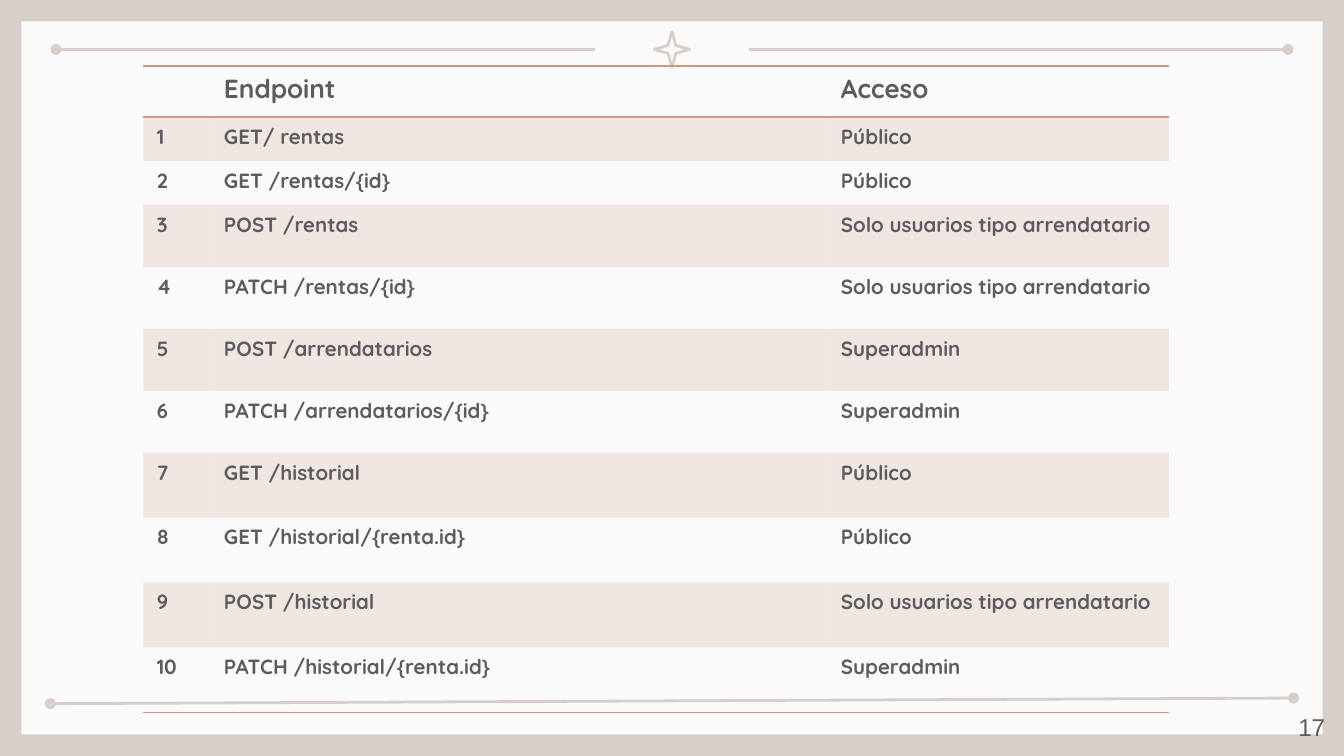
from dataclasses import dataclass
from lxml import etree
from pptx import Presentation
from pptx.dml.color import RGBColor
from pptx.enum.shapes import MSO_CONNECTOR, MSO_SHAPE
from pptx.enum.text import MSO_ANCHOR, PP_ALIGN
from pptx.oxml.ns import qn
from pptx.util import Pt

LINE = MSO_CONNECTOR.STRAIGHT
RECT = MSO_SHAPE.RECTANGLE
STAR = MSO_SHAPE.STAR_4_POINT
MIDDLE = MSO_ANCHOR.MIDDLE
TOP = MSO_ANCHOR.TOP
RIGHT = PP_ALIGN.RIGHT
PLAIN = "{2D5ABB26-0587-4C30-8999-92F81FD0307C}"


@dataclass(frozen=True)
class Theme:
    back: str = "D8CEC9"
    page: str = "FAFAFA"
    ink: str = "5C5C5F"
    rule: str = "C99A7D"
    tint: int = 20
    font: str = "Quicksand"
    plain: str = "Arial"
    head: int = 14
    body: int = 11
    number: int = 13


THEME = Theme()
COLS = [36, 330.5, 182.9]
ROWS = [27.3] + [23.6] * 2 + [33.2] * 4 + [34.8] * 4
PUBLIC = "Público"
TENANT = "Solo usuarios tipo arrendatario"
ADMIN = "Superadmin"
ROUTES = [
    ("GET/ rentas", PUBLIC),
    ("GET /rentas/{id}", PUBLIC),
    ("POST /rentas", TENANT),
    ("PATCH /rentas/{id}", TENANT),
    ("POST /arrendatarios", ADMIN),
    ("PATCH /arrendatarios/{id}", ADMIN),
    ("GET /historial", PUBLIC),
    ("GET /historial/{renta.id}", PUBLIC),
    ("POST /historial", TENANT),
    ("PATCH /historial/{renta.id}", ADMIN),
]


def color(code):
    return RGBColor.from_string(code)


def style(para, size, font, bold=False):
    for run in para.runs:
        run.font.size = Pt(size)
        run.font.name = font
        run.font.bold = bold
        run.font.color.rgb = color(THEME.ink)


def add_line(slide, start, end, tips):
    line = slide.shapes.add_connector(LINE, *map(Pt, start + end))
    line.line.color.rgb = color(THEME.back)
    line.line.width = Pt(1.5)
    props = line._element.spPr
    for tip in tips:
        etree.SubElement(props.find(qn("a:ln")), qn(f"a:{tip}"), type="oval")
    etree.SubElement(props, qn("a:effectLst"))


def add_frame(slide, x, y, w, h):
    page = slide.shapes.add_shape(RECT, Pt(x), Pt(y), Pt(w), Pt(h))
    page.shadow.inherit = False
    page.fill.solid()
    page.fill.fore_color.rgb = color(THEME.page)
    page.line.fill.background()

    mid, rail, inset, gap, size = x + w / 2, y + 15, 18.5, 41, 19
    add_line(slide, (x + inset, rail), (mid - gap, rail), ["headEnd"])
    star = slide.shapes.add_shape(
        STAR, Pt(mid - size / 2), Pt(rail - size / 2), Pt(size), Pt(size))
    star.shadow.inherit = False
    star.adjustments[0] = 0.157
    star.fill.background()
    star.line.color.rgb = color(THEME.back)
    star.line.width = Pt(1.5)
    add_line(slide, (mid + gap, rail), (x + w - inset, rail), ["tailEnd"])

    foot, side = y + h - 16.5, 15.5
    add_line(slide, (x + side, foot), (x + w - side, foot - 3),
             ["headEnd", "tailEnd"])


def add_edge(cell, side):
    edge = etree.Element(qn(f"a:{side}"), w=str(Pt(1)))
    fill = etree.SubElement(edge, qn("a:solidFill"))
    etree.SubElement(fill, qn("a:srgbClr"), val=THEME.rule)
    return edge


def set_cell(cell, text, size, shade, sides):
    cell.text = text
    cell.vertical_anchor = TOP
    para = cell.text_frame.paragraphs[0]
    style(para, size, THEME.font, True)
    if not text:
        etree.SubElement(para._p, qn("a:endParaRPr"), sz=str(size * 100))
    if shade:
        cell.fill.solid()
        cell.fill.fore_color.rgb = color(THEME.rule)
        tone = cell._tc.tcPr.find(".//" + qn("a:srgbClr"))
        etree.SubElement(tone, qn("a:alpha"), val=str(THEME.tint * 1000))
    else:
        cell.fill.background()
    for spot, side in enumerate(sides):
        cell._tc.tcPr.insert(spot, add_edge(cell, side))


def add_routes(slide, x, y):
    data = [("", "Endpoint", "Acceso")]
    data += [(str(n), *route) for n, route in enumerate(ROUTES, 1)]
    table = slide.shapes.add_table(
        len(ROWS), len(COLS), Pt(x), Pt(y), Pt(sum(COLS)), Pt(sum(ROWS))).table
    table.first_row = table.horz_banding = False
    table._tbl.tblPr.find(qn("a:tableStyleId")).text = PLAIN
    for col, width in zip(table.columns, COLS):
        col.width = Pt(width)
    edges = {0: ["lnT", "lnB"], len(ROUTES): ["lnB"]}
    for r, texts in enumerate(data):
        table.rows[r].height = Pt(ROWS[r])
        size = THEME.body if r else THEME.head
        for c, text in enumerate(texts):
            set_cell(table.cell(r, c), text, size, r % 2, edges.get(r, []))


def add_number(slide, x, y, w, h):
    box = slide.shapes.add_textbox(Pt(x), Pt(y), Pt(w), Pt(h))
    frame = box.text_frame
    frame.word_wrap = True
    frame.vertical_anchor = MIDDLE
    frame.margin_left = frame.margin_right = Pt(7.2)
    frame.margin_top = frame.margin_bottom = Pt(7.2)
    frame.text = "17"
    para = frame.paragraphs[0]
    para.alignment = RIGHT
    style(para, THEME.number, THEME.plain)


def main():
    deck = Presentation()
    deck.slide_width, deck.slide_height = Pt(720), Pt(405)
    slide = deck.slides.add_slide(deck.slide_layouts[6])
    slide.background.fill.solid()
    slide.background.fill.fore_color.rgb = color(THEME.back)
    add_frame(slide, 11.5, 11.5, 697, 382)
    add_number(slide, 674, 374, 43, 31)
    add_routes(slide, 76.8, 35.3)
    deck.save("out.pptx")


if __name__ == "__main__":
    main()
